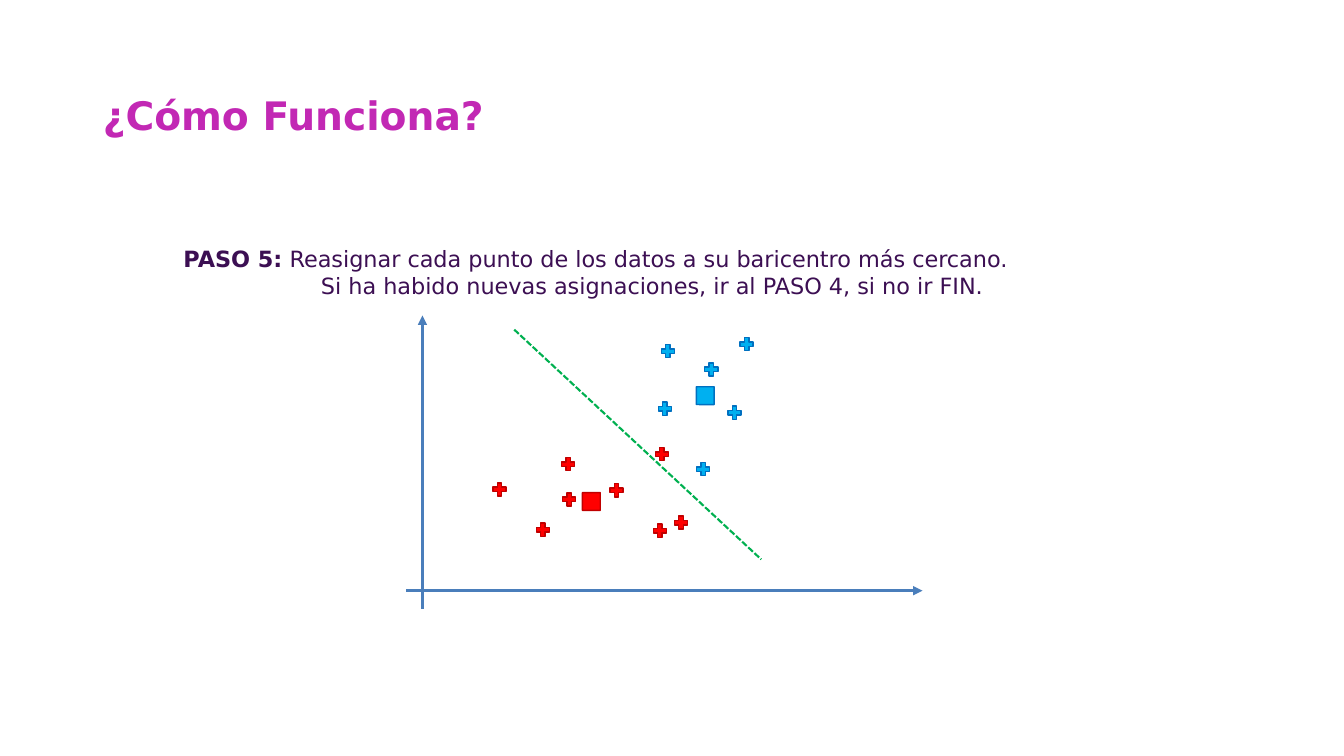
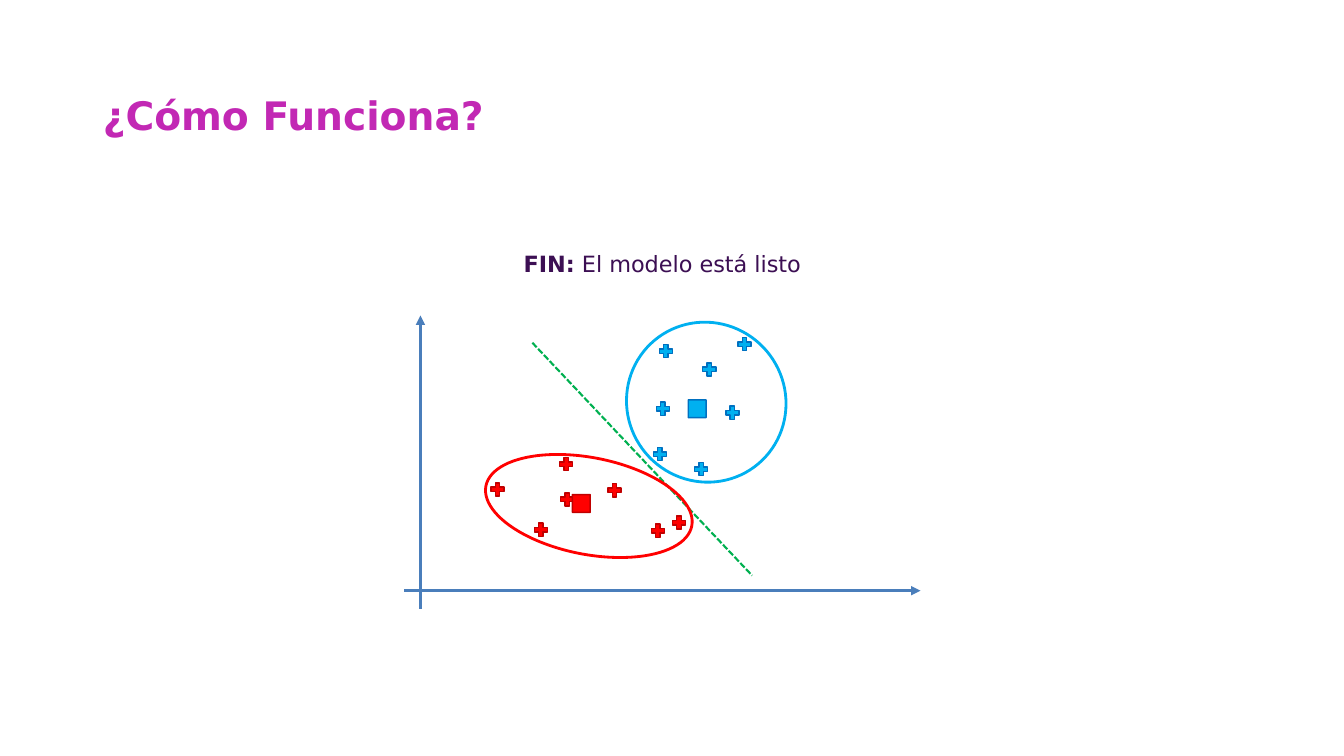
from lxml.etree import SubElement
from pptx import Presentation
from pptx.dml.color import RGBColor
from pptx.enum.dml import MSO_LINE
from pptx.enum.shapes import MSO_CONNECTOR, MSO_SHAPE
from pptx.enum.text import MSO_ANCHOR, MSO_AUTO_SIZE as FIT, PP_ALIGN
from pptx.oxml.ns import qn
from pptx.util import Emu, Pt

SCALE = 9144
WHITE = RGBColor(0xFF, 0xFF, 0xFF)
PINK = RGBColor(0xC2, 0x28, 0xB4)
PLUM = RGBColor(0x3C, 0x0F, 0x53)
STEEL = RGBColor(0x4A, 0x7E, 0xBB)
GREEN = RGBColor(0x00, 0xB0, 0x50)
SKY = RGBColor(0x00, 0xB0, 0xF0)
NAVY = RGBColor(0x00, 0x70, 0xC0)
RED = RGBColor(0xFF, 0x00, 0x00)
WINE = RGBColor(0xC0, 0x00, 0x00)
EDGE = {SKY: NAVY, RED: WINE}

FONT = "DejaVu Sans"
HEAD = {"name": FONT, "size": Pt(28), "bold": True}
BODY = {"name": FONT, "size": Pt(16)}
AXIS = {"width": Pt(2.25)}
DASH = {"width": Pt(1.5), "dash_style": MSO_LINE.SQUARE_DOT}
THIN = {"width": Pt(1)}
RING = {"width": Pt(2)}
TITLE = (92, 71, 1150, 91)
INSET = 5
CROSS, GEM = 13, 25

BLUES = [(319, 90), (288, 146), (250, 86), (331, 22), (253, 29), (296, 47)]
REDS = [(129, 206), (266, 199), (155, 176), (245, 207), (86, 166),
        (154, 141), (202, 167)]
SWING = (247, 131)

STEPS = [
    {"box": (147, 238, 1000, 64),
     "lines": [
         ("PASO 5:", " Reasignar cada punto de los datos a su baricentro más cercano.", 30),
         ("", "Si ha habido nuevas asignaciones, ir al PASO 4, si no ir FIN.", 0)],
     "plot": (403, 313, 512, 291), "swing": RED,
     "split": (107, 14, 352, 242),
     "gems": [(SKY, 284, 67), (RED, 171, 172)], "rings": []},
    {"box": (361, 243, 592, 37),
     "lines": [("FIN:", " El modelo está listo", 0)],
     "plot": (401, 313, 512, 291), "swing": SKY,
     "split": (127, 27, 345, 258),
     "gems": [(RED, 163, 174), (SKY, 278, 80)],
     "rings": [(SKY, (221, 6, 157, 160), 320), (RED, (135, 85, 96, 208), 101)]},
]


def px(*nums):
    return [Emu(n * SCALE) for n in nums]


def apply(obj, fmt):
    for key, val in fmt.items():
        setattr(obj, key, val)


def stroke(line, tint, fmt):
    line.color.rgb = tint
    apply(line, fmt)


def shape(slide, kind, box, fill, edge, fmt, turn=0):
    item = slide.shapes.add_shape(kind, *px(*box))
    item.shadow.inherit = False
    item.rotation = turn
    if fill is None:
        item.fill.background()
    else:
        item.fill.solid()
        item.fill.fore_color.rgb = fill
    stroke(item.line, edge, fmt)
    return item


def line(slide, ends, tint, fmt, arrow=False):
    item = slide.shapes.add_connector(MSO_CONNECTOR.STRAIGHT, *px(*ends))
    stroke(item.line, tint, fmt)
    props = item.element.spPr
    if arrow:
        SubElement(props.find(qn("a:ln")), qn("a:tailEnd"), type="triangle")
    SubElement(props, qn("a:effectLst"))


def write(para, text, tint, fmt):
    run = para.add_run()
    run.text = text
    run.font.color.rgb = tint
    apply(run.font, fmt)


def title(slide, box):
    item = slide.shapes.title
    apply(item, dict(zip(("left", "top", "width", "height"), px(*box))))
    frame = item.text_frame
    apply(frame, {"vertical_anchor": MSO_ANCHOR.MIDDLE, "auto_size": FIT.NONE,
                  "word_wrap": True})
    para = frame.paragraphs[0]
    apply(para, {"alignment": PP_ALIGN.LEFT, "line_spacing": 0.9})
    write(para, "¿Cómo Funciona?", PINK, HEAD)


def note(slide, box, lines):
    frame = slide.shapes.add_textbox(*px(*box)).text_frame
    sides = ("left", "top", "right", "bottom")
    apply(frame, {f"margin_{side}": px(INSET)[0] for side in sides})
    apply(frame, {"word_wrap": True, "auto_size": FIT.SHAPE_TO_FIT_TEXT})
    for num, (lead, text, dent) in enumerate(lines):
        para = frame.add_paragraph() if num else frame.paragraphs[0]
        para.alignment = PP_ALIGN.LEFT if dent else PP_ALIGN.CENTER
        if dent:
            para._p.get_or_add_pPr().set("marL", str(dent * SCALE))
        if lead:
            write(para, lead, PLUM, {**BODY, "bold": True})
        write(para, text, PLUM, {**BODY, "bold": False})


def plot(slide, box, step):
    left, top, wide, high = box
    stem, base = left + 16, top + 273
    line(slide, (stem, top + high, stem, top), STEEL, AXIS, True)
    line(slide, (left, base, left + wide, base), STEEL, AXIS, True)
    dots = [(SKY, spot) for spot in BLUES] + [(RED, spot) for spot in REDS]
    for tint, (x, y) in dots + [(step["swing"], SWING)]:
        plus = shape(slide, MSO_SHAPE.CROSS, (left + x, top + y, CROSS, CROSS),
                     tint, EDGE[tint], THIN)
        plus.adjustments[0] = 0.33
    x1, y1, x2, y2 = step["split"]
    line(slide, (left + x1, top + y1, left + x2, top + y2), GREEN, DASH)
    for tint, x, y in step["gems"]:
        shape(slide, MSO_SHAPE.DIAMOND, (left + x, top + y, GEM, GEM),
              tint, EDGE[tint], THIN, 315)
    for tint, (x, y, w, h), turn in step["rings"]:
        shape(slide, MSO_SHAPE.OVAL, (left + x, top + y, w, h),
              None, tint, RING, turn)


def build(deck, step):
    slide = deck.slides.add_slide(deck.slide_layouts[5])
    title(slide, TITLE)
    plot(slide, step["plot"], step)
    note(slide, step["box"], step["lines"])


def main():
    deck = Presentation()
    deck.slide_width, deck.slide_height = px(1333, 750)
    back = deck.slide_master.background.fill
    back.solid()
    back.fore_color.rgb = WHITE
    for step in STEPS:
        build(deck, step)
    deck.save("out.pptx")


if __name__ == "__main__":
    main()
